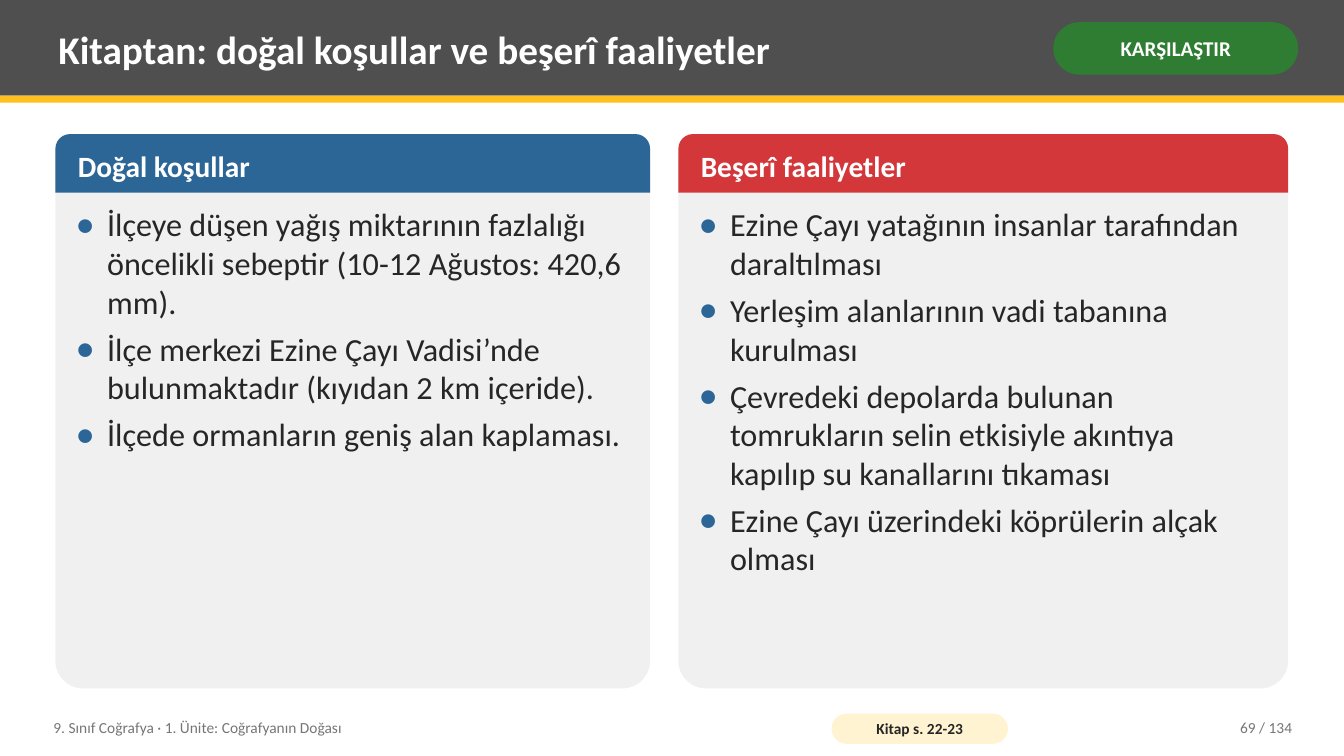
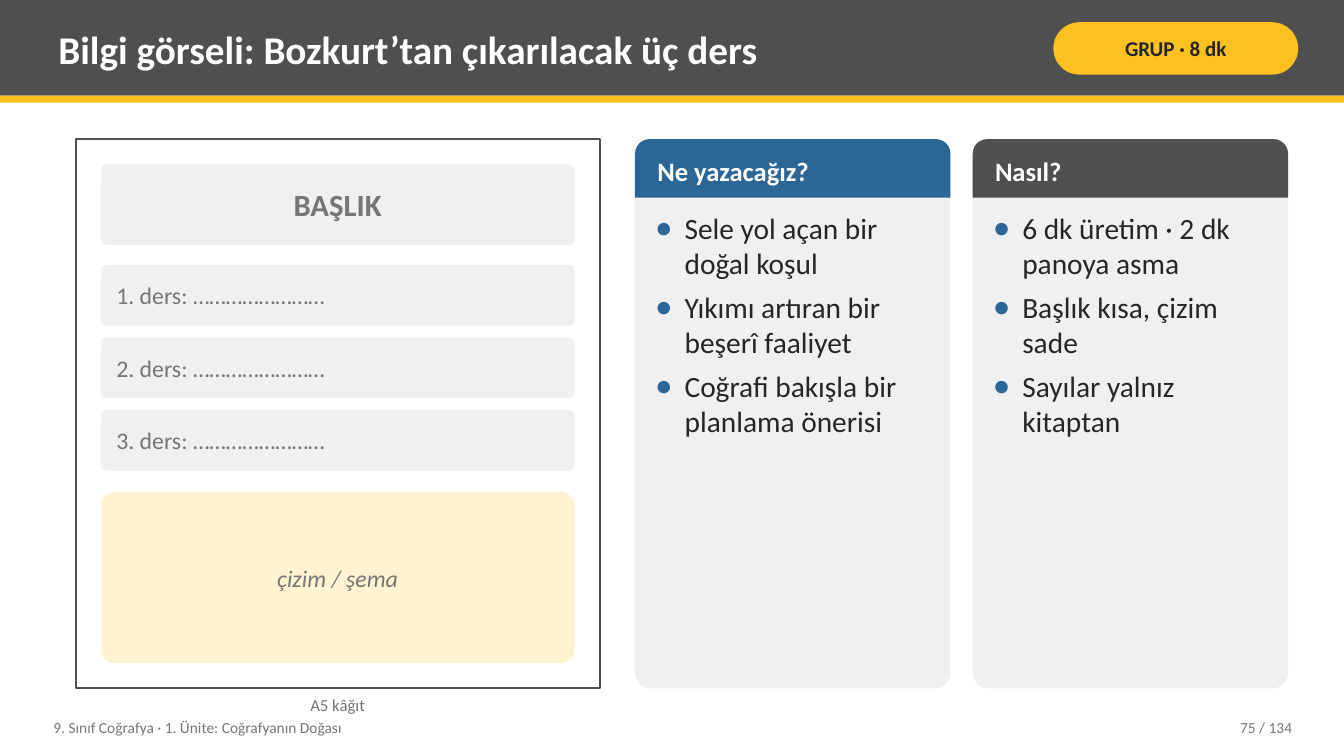
"""Build two geography lesson slides with comparison panels and a poster template."""
import pptx
import pptx.util
import pptx.dml.color
import pptx.enum.shapes
import pptx.enum.text
import pptx.oxml.ns
import lxml.etree

Pt = pptx.util.Pt
RGB = pptx.dml.color.RGBColor
SHAPE = pptx.enum.shapes.MSO_SHAPE
ALIGN = pptx.enum.text.PP_ALIGN
ANCHOR = pptx.enum.text.MSO_ANCHOR

WHITE = RGB(0xFF, 0xFF, 0xFF)
DARK = RGB(0x4F, 0x4F, 0x4F)
YELLOW = RGB(0xFC, 0xC0, 0x21)
CREAM = RGB(0xFF, 0xF3, 0xD1)
GREEN = RGB(0x2E, 0x7D, 0x32)
BLUE = RGB(0x2C, 0x66, 0x96)
RED = RGB(0xD3, 0x37, 0x3A)
PALE = RGB(0xF0, 0xF0, 0xF0)
INK = RGB(0x26, 0x26, 0x26)
GREY = RGB(0x76, 0x76, 0x76)

FONT = "Calibri"
INSETS = (5.76, 2.88)
HEADER_H = 41.76
UNIT = "9. Sınıf Coğrafya · 1. Ünite: Coğrafyanın Doğası"

SLIDES = [
    dict(
        title="Kitaptan: doğal koşullar ve beşerî faaliyetler",
        badge=("KARŞILAŞTIR", GREEN, WHITE),
        page="69 / 134", source="Kitap s. 22-23", poster=None,
        top=95.76, sizes=(21, 23), indent=22.5,
        panels=[
            (39.6, 424.8, BLUE, "Doğal koşullar", [
                "İlçeye düşen yağış miktarının fazlalığı öncelikli sebeptir "
                "(10-12 Ağustos: 420,6 mm).",
                "İlçe merkezi Ezine Çayı Vadisi’nde bulunmaktadır (kıyıdan 2 km içeride).",
                "İlçede ormanların geniş alan kaplaması."]),
            (484.56, 435.6, RED, "Beşerî faaliyetler", [
                "Ezine Çayı yatağının insanlar tarafından daraltılması",
                "Yerleşim alanlarının vadi tabanına kurulması",
                "Çevredeki depolarda bulunan tomrukların selin etkisiyle akıntıya "
                "kapılıp su kanallarını tıkaması",
                "Ezine Çayı üzerindeki köprülerin alçak olması"]),
        ]),
    dict(
        title="Bilgi görseli: Bozkurt’tan çıkarılacak üç ders",
        badge=("GRUP · 8 dk", YELLOW, INK),
        page="75 / 134", source=None,
        poster=dict(
            caption="A5 kâğıt", heading="BAŞLIK", drawing="çizim / şema",
            lessons=[f"{n}. ders: ……………………" for n in (1, 2, 3)]),
        top=99.36, sizes=(19, 21), indent=21,
        panels=[
            (453.6, 225.36, BLUE, "Ne yazacağız?", [
                "Sele yol açan bir doğal koşul",
                "Yıkımı artıran bir beşerî faaliyet",
                "Coğrafi bakışla bir planlama önerisi"]),
            (694.8, 225.36, DARK, "Nasıl?", [
                "6 dk üretim · 2 dk panoya asma",
                "Başlık kısa, çizim sade",
                "Sayılar yalnız kitaptan"]),
        ]),
]
PANEL_BOTTOM = 491.76


def set_text(sp, lines, size, color, align=ALIGN.LEFT, anchor=ANCHOR.MIDDLE,
             insets=INSETS, **style):
    tf = sp.text_frame
    side, edge = (Pt(v) for v in insets)
    frame = dict(word_wrap=True, vertical_anchor=anchor, margin_left=side,
                 margin_right=side, margin_top=edge, margin_bottom=edge)
    for name, value in frame.items():
        setattr(tf, name, value)
    for i, line in enumerate(lines):
        p = tf.add_paragraph() if i else tf.paragraphs[0]
        p.alignment = align
        r = p.add_run()
        r.text = line
        for name, value in dict(name=FONT, size=Pt(size), **style).items():
            setattr(r.font, name, value)
        r.font.color.rgb = color
    return tf


def add_box(s, kind, at, fill, adjust=(), line=None):
    sp = s.shapes.add_shape(kind, *(Pt(v) for v in at))
    sp.shadow.inherit = False
    sp.fill.solid()
    sp.fill.fore_color.rgb = fill
    for i, value in enumerate(adjust):
        sp.adjustments[i] = value
    if line is None:
        sp.line.fill.background()
    else:
        sp.line.color.rgb = line
        sp.line.width = Pt(1.5)
    return sp


def add_label(s, at, lines, *args, **style):
    sp = s.shapes.add_textbox(*(Pt(v) for v in at))
    return set_text(sp, lines, *args, **style)


def add_bullet(p, indent):
    pPr = p._p.get_or_add_pPr()
    pPr.set("marL", str(Pt(indent)))
    pPr.set("indent", str(-Pt(indent)))
    parts = [("buClr", {}), ("buSzPct", {"val": "120000"}),
             ("buFont", {"typeface": FONT}), ("buChar", {"char": "•"})]
    for tag, attrs in parts:
        lxml.etree.SubElement(pPr, pptx.oxml.ns.qn("a:" + tag), attrs)
    lxml.etree.SubElement(pPr.find(pptx.oxml.ns.qn("a:buClr")),
                          pptx.oxml.ns.qn("a:srgbClr"), {"val": str(BLUE)})


def add_panel(s, top, sizes, indent, panel):
    left, width, color, heading, items = panel
    height = PANEL_BOTTOM - top
    add_box(s, SHAPE.ROUNDED_RECTANGLE, (left, top, width, height), PALE, [0.05])
    sp = add_box(s, SHAPE.ROUND_2_SAME_RECTANGLE, (left, top, width, HEADER_H),
                 color, [0.25, 0])
    set_text(sp, [heading], sizes[0], WHITE, insets=(12.96, 2.88), bold=True)
    tf = add_label(s, (left + 8.64, top + 47.52, width - 17.28, height - 53.28),
                   items, sizes[1], INK, anchor=ANCHOR.TOP)
    for p in tf.paragraphs:
        p.space_after = Pt(6)
        add_bullet(p, indent)


def add_poster(s, top, poster):
    left, width, pad = 54, 374.4, 18
    add_box(s, SHAPE.RECTANGLE, (left, top, width, PANEL_BOTTOM - top), WHITE, line=DARK)
    lessons = [(90 + 51.84 * i, 43.2, PALE, text, 17, ALIGN.LEFT, {})
               for i, text in enumerate(poster["lessons"])]
    fields = [
        (18, 57.6, PALE, poster["heading"], 22, ALIGN.CENTER, dict(bold=True)),
        *lessons,
        (252, 122.4, CREAM, poster["drawing"], 17, ALIGN.CENTER, dict(italic=True)),
    ]
    for offset, height, fill, text, size, align, style in fields:
        sp = add_box(s, SHAPE.ROUNDED_RECTANGLE,
                     (left + pad, top + offset, width - 2 * pad, height), fill, [0.08])
        set_text(sp, [text], size, GREY, align, insets=(10.08, 5.76), **style)
    add_label(s, (left, 493.2, width, 21.6), [poster["caption"]], 12, GREY,
              ALIGN.CENTER, ANCHOR.TOP)


def add_frame(s, title, badge, page, source):
    add_box(s, SHAPE.RECTANGLE, (0, 0, 960, 68.4), DARK)
    add_box(s, SHAPE.RECTANGLE, (0, 68.4, 960, 5.04), YELLOW)
    add_label(s, (36, 5.04, 702, 59.04), [title], 28, WHITE, bold=True)
    text, fill, color = badge
    pills = [((752.4, 15.84, 174.96, 37.44), text, 15, fill, color)]
    if source:
        pills.append(((594, 509.76, 126, 21.6), source, 11, CREAM, INK))
    for at, text, size, fill, color in pills:
        sp = add_box(s, SHAPE.ROUNDED_RECTANGLE, at, fill, [0.5])
        set_text(sp, [text], size, color, ALIGN.CENTER, insets=(3, 0), bold=True)
    add_label(s, (32.4, 506.88, 547.2, 25.92), [UNIT], 11, GREY)
    add_label(s, (813.6, 506.88, 115.2, 25.92), [page], 11, GREY, ALIGN.RIGHT)


def main():
    prs = pptx.Presentation()
    prs.slide_width, prs.slide_height = Pt(960), Pt(540)
    for data in SLIDES:
        s = prs.slides.add_slide(prs.slide_layouts[6])
        add_frame(s, data["title"], data["badge"], data["page"], data["source"])
        if data["poster"]:
            add_poster(s, data["top"], data["poster"])
        for panel in data["panels"]:
            add_panel(s, data["top"], data["sizes"], data["indent"], panel)
    prs.save("out.pptx")


if __name__ == "__main__":
    main()
